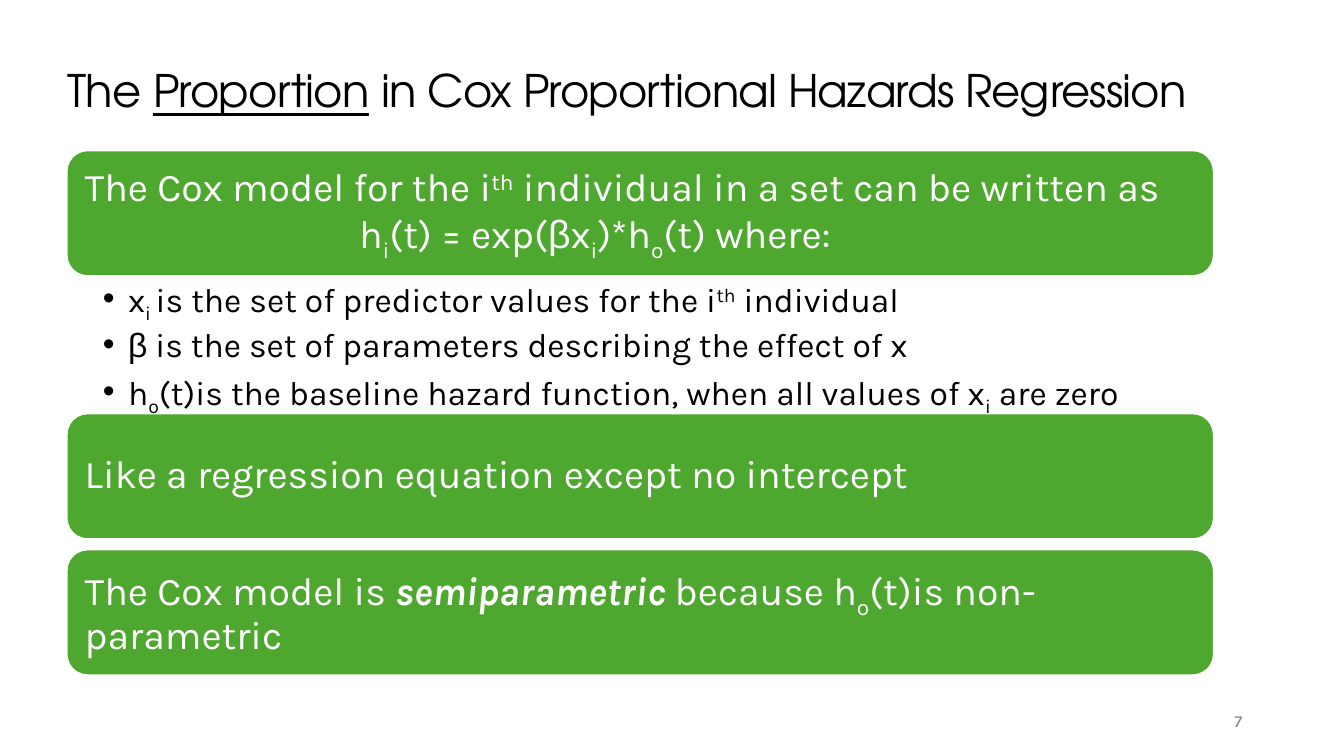
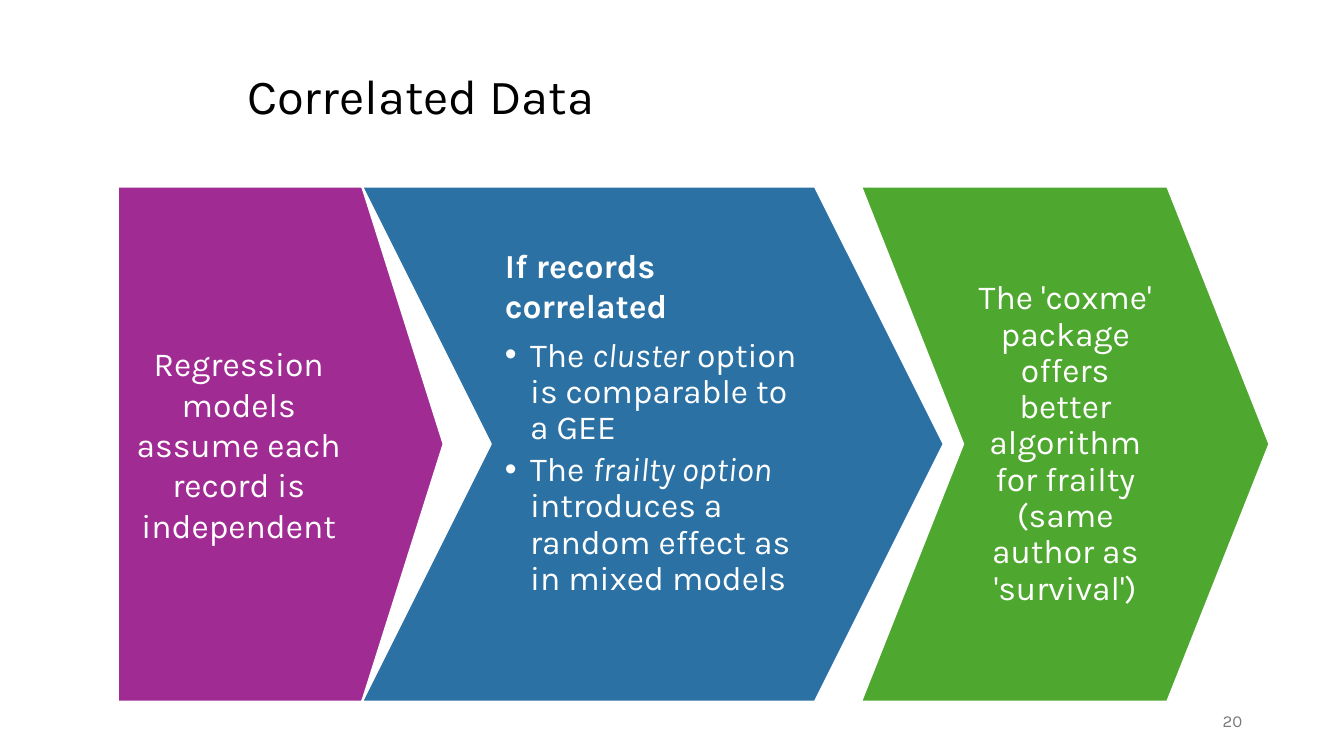
from lxml import etree
from pptx import Presentation
from pptx.dml.color import RGBColor
from pptx.enum.shapes import MSO_SHAPE
from pptx.enum.text import MSO_ANCHOR, MSO_AUTO_SIZE, PP_ALIGN
from pptx.oxml.ns import qn
from pptx.util import Inches, Pt

ROUNDED, PENTAGON, CHEVRON = MSO_SHAPE.ROUNDED_RECTANGLE, MSO_SHAPE.PENTAGON, MSO_SHAPE.CHEVRON
LEFT, CENTER, RIGHT = PP_ALIGN.LEFT, PP_ALIGN.CENTER, PP_ALIGN.RIGHT
TOP, MIDDLE = MSO_ANCHOR.TOP, MSO_ANCHOR.MIDDLE

BLACK, WHITE, GRAY = "000000", "FFFFFF", "797979"
GREEN, PURPLE, BLUE = "4EA72E", "A02B93", "2C71A4"
BODY_FONT, DISPLAY_FONT, SYMBOL_FONT = "Karla", "TeX Gyre Adventor", "Arial"
BASELINES = {"sub": "-25000", "super": "30000"}
LINE_SPACING = 0.9
BULLET_INDENT = 0.25


def color(hex_code):
    return RGBColor.from_string(hex_code)


def add_runs(paragraph, parts, size, hex_code, font=BODY_FONT):
    """Add parts, each a plain string or a (text, styles) pair."""
    for part in parts:
        text, styles = (part, "") if isinstance(part, str) else part
        styles = styles.split()
        run = paragraph.add_run()
        run.text = text
        run.font.size = Pt(size)
        run.font.name = SYMBOL_FONT if "symbol" in styles else font
        run.font.color.rgb = color(hex_code)
        run.font.bold = "bold" in styles
        run.font.italic = "italic" in styles
        run.font.underline = "underline" in styles
        for style in styles:
            if style in BASELINES:
                run.font._element.set("baseline", BASELINES[style])


def set_indent(paragraph, margin, first_line=0):
    properties = paragraph._p.get_or_add_pPr()
    properties.set("marL", str(Inches(margin)))
    properties.set("indent", str(Inches(first_line)))
    return properties


def set_bullet(paragraph):
    properties = set_indent(paragraph, BULLET_INDENT, -BULLET_INDENT)
    etree.SubElement(properties, qn("a:buFont")).set("typeface", SYMBOL_FONT)
    etree.SubElement(properties, qn("a:buChar")).set("char", "•")


def set_frame(frame, insets, anchor=MIDDLE):
    frame.word_wrap = True
    frame.auto_size = MSO_AUTO_SIZE.NONE
    frame.vertical_anchor = anchor
    frame.margin_left, frame.margin_top, frame.margin_right, frame.margin_bottom = map(Inches, insets)


def write(frame, paragraphs, size, hex_code, align=LEFT, spacing=LINE_SPACING):
    """Fill the frame with one paragraph per list of parts and return them."""
    for index, parts in enumerate(paragraphs):
        paragraph = frame.add_paragraph() if index else frame.paragraphs[0]
        paragraph.alignment = align
        paragraph.line_spacing = spacing
        add_runs(paragraph, parts, size, hex_code)
    return frame.paragraphs


def add_panel(slide, preset, box, fill):
    panel = slide.shapes.add_shape(preset, *map(Inches, box))
    panel.shadow.inherit = False
    panel.fill.solid()
    panel.fill.fore_color.rgb = color(fill)
    panel.line.color.rgb = color(WHITE)
    panel.line.width = Pt(1.5)
    return panel


def add_arrow(slide, preset, left, width, fill):
    arrow = add_panel(slide, preset, (left, 1.85, width, 5.11), fill)
    arrow.adjustments[0] = 0.25
    return arrow.text_frame


def add_titled_slide(deck, box, parts, size, number, font=BODY_FONT):
    slide = deck.slides.add_slide(deck.slide_layouts[5])
    title = slide.shapes.title
    title.left, title.top, title.width, title.height = map(Inches, box)
    set_frame(title.text_frame, (0.1, 0.05, 0.1, 0.05))
    heading = title.text_frame.paragraphs[0]
    heading.alignment = LEFT
    heading.line_spacing = LINE_SPACING
    add_runs(heading, parts, size, BLACK, font)

    page = slide.shapes.add_textbox(Inches(9.42), Inches(6.95), Inches(3), Inches(0.4))
    set_frame(page.text_frame, (0.1, 0.05, 0.1, 0.05))
    write(page.text_frame, [[number]], 12, GRAY, RIGHT, 1)
    return slide


def add_proportion_slide(deck):
    slide = add_titled_slide(
        deck, (0.57, 0.3, 11.74, 1.24),
        ["The ", ("Proportion", "underline"), " in Cox Proportional Hazards Regression"],
        32, "7", DISPLAY_FONT)
    for run in slide.shapes.title.text_frame.paragraphs[0].runs:
        run.font._element.set("spc", "-60")

    left, width, band_height = 0.66, 11.38, 1.25
    first_top, terms_height, gap = 1.49, 1.36, 0.1
    terms_top = first_top + band_height
    second_top = terms_top + terms_height
    third_top = second_top + band_height + gap

    model = [
        ["The Cox model for the i", ("th", "super"), " individual in a set can be written as"],
        ["h", ("i", "sub"), "(t) = exp(", ("β", "symbol"), "x", ("i", "sub"),
         ")*h", ("o", "sub"), "(t) where:"],
    ]
    intercept = [["Like a regression equation except no intercept"]]
    semiparametric = [["The Cox model is ", ("semiparametric ", "bold italic"),
                       "because h", ("o", "sub"), "(t)is non-parametric"]]
    for top, statement in ((first_top, model), (second_top, intercept), (third_top, semiparametric)):
        band = add_panel(slide, ROUNDED, (left, top, width, band_height), GREEN)
        set_frame(band.text_frame, (0.12,) * 4)
        lines = write(band.text_frame, statement, 28, WHITE)
        for formula in lines[1:]:
            set_indent(formula, 2.72)

    terms = slide.shapes.add_textbox(*map(Inches, (left, terms_top, width, terms_height)))
    set_frame(terms.text_frame, (0.36, 0.03, 0.19, 0.03), TOP)
    definitions = [
        ["x", ("i ", "sub"), "is the set of predictor values for the i", ("th", "super"), " individual"],
        [("β", "symbol"), " is the set of parameters describing the effect of x"],
        ["h", ("o", "sub"), "(t)is the baseline hazard function, when all values of x",
         ("i", "sub"), " are zero"],
    ]
    for term in write(terms.text_frame, definitions, 24, BLACK):
        term.space_after = Pt(5.5)
        set_bullet(term)


def add_correlated_slide(deck):
    slide = add_titled_slide(deck, (2.35, 0.28, 8.62, 1.39), ["Correlated Data"], 35, "20")

    assumption = add_arrow(slide, PENTAGON, 1.17, 3.23, PURPLE)
    set_frame(assumption, (0.14, 0.07, 0.57, 0.07))
    write(assumption, [["Regression models assume each record is independent"]], 24, WHITE, CENTER, 1)

    options = add_arrow(slide, CHEVRON, 3.59, 5.77, BLUE)
    set_frame(options, (0.14, 0.58, 0.14, 0.07), TOP)
    condition, *choices = write(options, [
        [("If records correlated", "bold")],
        ["The ", ("cluster", "italic"), " option is comparable to a GEE"],
        ["The ", ("frailty option ", "italic"), "introduces a random effect as in mixed models"],
    ], 24, WHITE)
    condition.line_spacing = 1
    condition.space_after = Pt(9)
    for choice in choices:
        choice.space_after = Pt(4)
        set_bullet(choice)

    package = add_arrow(slide, CHEVRON, 8.54, 4.05, GREEN)
    set_frame(package, (0.14, 0.07, 0.14, 0.07))
    write(package, [["The 'coxme' package offers better algorithm for frailty "
                     "(same author as 'survival')"]], 24, WHITE, CENTER)


def main():
    deck = Presentation()
    deck.slide_width, deck.slide_height = Inches(13.33), Inches(7.5)
    add_proportion_slide(deck)
    add_correlated_slide(deck)
    deck.save("out.pptx")


if __name__ == "__main__":
    main()
